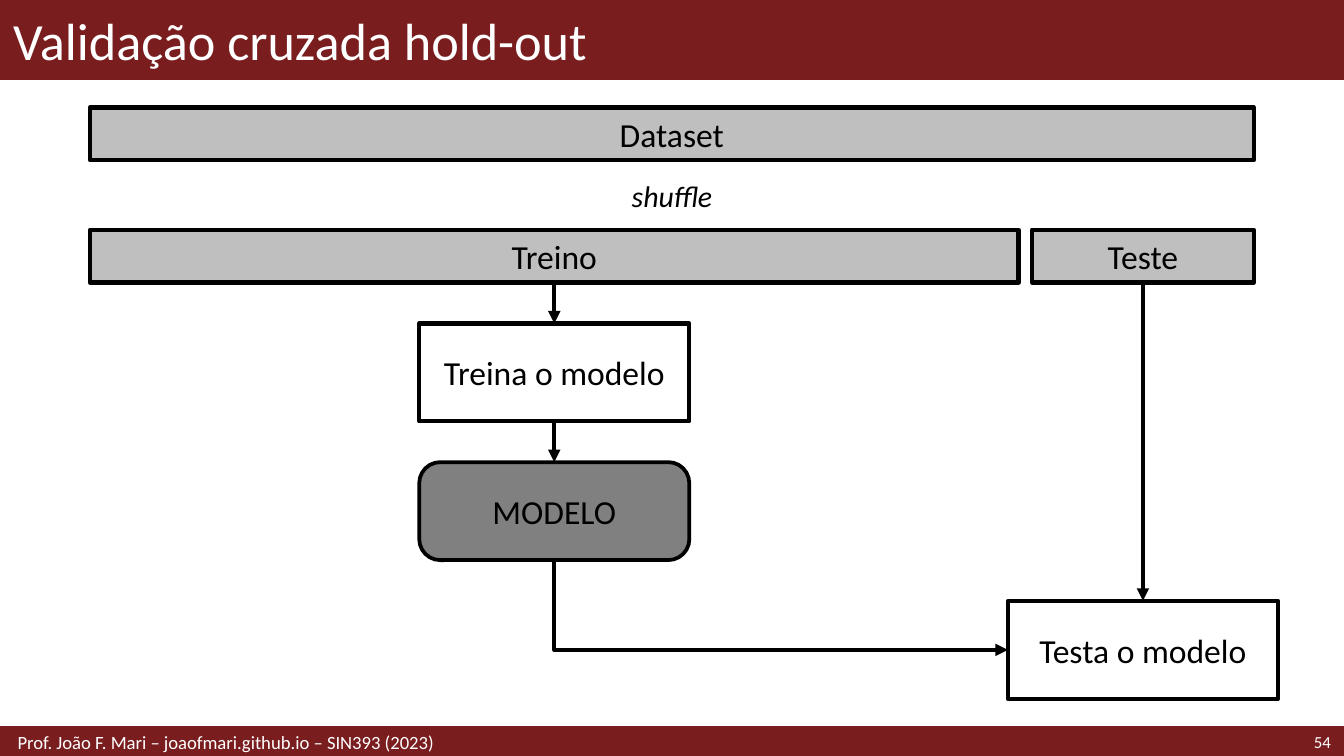
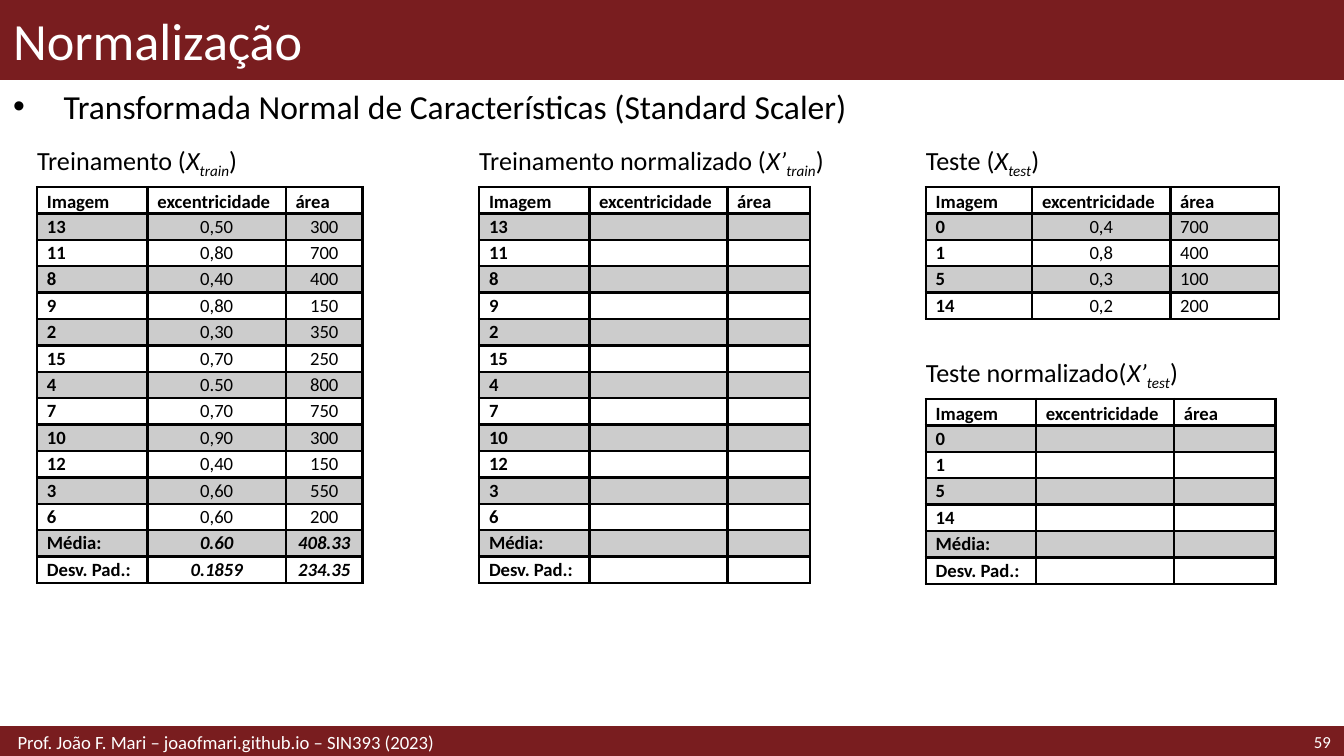
from dataclasses import dataclass

from lxml import etree
from pptx import Presentation
from pptx import util as u
from pptx.dml import color
from pptx.enum import shapes, text
from pptx.oxml import ns

Pt = u.Pt
SHAPE = shapes.MSO_SHAPE
LINK = shapes.MSO_CONNECTOR
ALIGN = text.PP_ALIGN
ANCHOR = text.MSO_ANCHOR
BOTTOM, TOP, LEFT = 2, 0, 1  # connection sites of a box


@dataclass(frozen=True)
class Theme:
    font: str = "Calibri"
    wine: str = "791D1F"
    ink: str = "000000"
    paper: str = "FFFFFF"
    light: str = "BFBFBF"
    dark: str = "808080"
    title: float = 28
    body: float = 18
    note: float = 16
    label: float = 14
    small: float = 10
    page: float = 9
    line: float = 2.25
    grid: float = 1.5
    shade: int = 20


def rgb(code):
    return color.RGBColor.from_string(code)


def sub(node, tag, **attrs):
    return etree.SubElement(node, ns.qn(tag), **attrs)


class Deck:
    wide, high = 720, 405
    band, foot = 42.5, 15

    def __init__(self, theme):
        self.look = theme
        self.prs = Presentation()
        self.prs.slide_width = Pt(self.wide)
        self.prs.slide_height = Pt(self.high)
        self.slide = None

    # Slide frame: title band and footer
    def page(self, title, number):
        look = self.look
        self.slide = self.prs.slides.add_slide(self.prs.slide_layouts[6])
        base = self.high - self.foot
        for top, high, line in ((0, self.band, 1), (base, self.foot, 2)):
            self.box((0, top, self.wide, high), "", look.wine, look.wine, line)
        self.text((0, 0, self.wide, self.band), title, look.title, look.paper)
        self.text((0, base, 496, self.foot),
                  "Prof. João F. Mari – joaofmari.github.io – SIN393 (2023)",
                  look.small, look.paper, pad=(9.4, 0, 7.2, 0))
        self.text((638, base, 82, self.foot), number, look.page, look.paper,
                  ALIGN.RIGHT, pad=(7.2, 0, 7.2, 0))

    def style(self, font, size, ink=None, bold=False, slant=False):
        font.name = self.look.font
        font.size = Pt(size)
        font.bold = bold
        font.italic = slant
        font.color.rgb = rgb(ink or self.look.ink)

    # Shape with centred text
    def box(self, place, words, fill=None, edge=None, line=None,
            kind=SHAPE.RECTANGLE):
        look = self.look
        item = self.slide.shapes.add_shape(kind, *map(Pt, place))
        item.shadow.inherit = False
        if fill:
            item.fill.solid()
            item.fill.fore_color.rgb = rgb(fill)
        else:
            item.fill.background()
        item.line.color.rgb = rgb(edge or look.ink)
        item.line.width = Pt(line or look.line)
        if words:
            frame = item.text_frame
            frame.text = words
            frame.vertical_anchor = ANCHOR.MIDDLE
            para = frame.paragraphs[0]
            para.alignment = ALIGN.CENTER
            self.style(para.runs[0].font, look.body)
        return item

    # Plain text box
    def text(self, place, words, size, ink=None, align=ALIGN.LEFT,
             anchor=ANCHOR.MIDDLE, pad=(7.2, 3.6, 7.2, 3.6), slant=False):
        frame = self.slide.shapes.add_textbox(*map(Pt, place)).text_frame
        frame.word_wrap = True
        frame.vertical_anchor = anchor
        (frame.margin_left, frame.margin_top,
         frame.margin_right, frame.margin_bottom) = map(Pt, pad)
        frame.text = words
        para = frame.paragraphs[0]
        para.alignment = align
        for run in para.runs:
            self.style(run.font, size, ink, slant=slant)
        return para

    def bullet(self, words):
        area = (0, self.band, self.wide, self.high - self.foot - self.band)
        para = self.text(area, words, self.look.body, anchor=ANCHOR.TOP)
        props = para._p.get_or_add_pPr()
        indent = Pt(27)
        props.set("marL", str(indent))
        props.set("indent", str(-indent))
        sub(props, "a:buFont", typeface="Arial")
        sub(props, "a:buChar", char="•")

    # Table heading such as "Teste (X test)", with the index lowered
    def label(self, left, top, lead, sign, index):
        size = self.look.label
        para = self.text((left, top, 210, 22.3), lead + "(", size,
                         pad=(0, 3.6, 7.2, 3.6))
        for words, slant in ((sign, True), (index, True), (")", False)):
            run = para.add_run()
            run.text = words
            self.style(run.font, size, slant=slant)
        para.runs[2]._r.get_or_add_rPr().set("baseline", "-25000")

    # Arrow glued to two boxes; a bent one goes down, then right
    def arrow(self, start, end, bent=False):
        kind = LINK.ELBOW if bent else LINK.STRAIGHT
        link = self.slide.shapes.add_connector(kind, 0, 0, 0, 0)
        link.begin_connect(start, BOTTOM)
        link.end_connect(end, LEFT if bent else TOP)
        link.line.color.rgb = rgb(self.look.ink)
        link.line.width = Pt(self.look.line)
        props = link._element.spPr
        sub(props.find(ns.qn("a:ln")), "a:tailEnd", type="triangle")
        sub(props, "a:effectLst")
        if bent:
            wide, high = link.width, link.height
            link.left += (wide - high) // 2
            link.top += (high - wide) // 2
            link.width, link.height = high, wide
            turn = props.find(ns.qn("a:xfrm"))
            turn.set("rot", "16200000")
            turn.set("flipH", "1")
            props.find(ns.qn("a:prstGeom")).set("prst", "bentConnector2")

    # Bordered table with every second row shaded
    def table(self, left, top, cols, rows, last=ALIGN.CENTER):
        row = 14.16
        rows = [("Imagem", "excentricidade", "área")] + rows
        grid = self.slide.shapes.add_table(
            len(rows), len(cols), Pt(left), Pt(top),
            Pt(sum(cols)), Pt(row * len(rows))).table
        grid.first_row = grid.horz_banding = False
        for col, wide in zip(grid.columns, cols):
            col.width = Pt(wide)
        for r, values in enumerate(rows):
            grid.rows[r].height = Pt(row)
            total = values[0] in ("Média:", "Desv. Pad.:")
            for c, value in enumerate(values):
                cell = grid.cell(r, c)
                self.cell(cell, value, r % 2 == 1,
                          bold=r == 0 or c == 0 or total,
                          slant=total and c > 0)
                para = cell.text_frame.paragraphs[0]
                if r == 0:
                    para.alignment = ALIGN.JUSTIFY
                    para.line_spacing = 1.15
                    cell.vertical_anchor = ANCHOR.TOP
                else:
                    para.alignment = (ALIGN.LEFT, ALIGN.CENTER, last)[c]

    def cell(self, cell, value, shaded, bold, slant):
        look = self.look
        cell.margin_left = cell.margin_right = Pt(5.3)
        cell.margin_top = cell.margin_bottom = 0
        cell.vertical_anchor = ANCHOR.MIDDLE
        cell.text_frame.text = value
        para = cell.text_frame.paragraphs[0]
        for run in para.runs:
            self.style(run.font, look.small, bold=bold, slant=slant)
        if not value:
            sub(para._p, "a:endParaRPr", sz=str(look.small * 100))
        props = cell._tc.get_or_add_tcPr()
        for side in "LRTB":
            edge = sub(props, "a:ln" + side, w=str(Pt(look.grid)))
            sub(sub(edge, "a:solidFill"), "a:srgbClr", val=look.ink)
        if shaded:
            cell.fill.solid()
            cell.fill.fore_color.rgb = rgb(look.ink)
            tone = props.find(ns.qn("a:solidFill"))[0]
            sub(tone, "a:alpha", val=str(look.shade * 1000))
        else:
            cell.fill.background()


def holdout(deck):
    look = deck.look
    deck.page("Validação cruzada hold-out", "54")

    # Data bars
    left, high, wide = 48.2, 28.3, 623.5
    deck.box((left, 57.6, wide, high), "Dataset", look.light)
    deck.text((320, 91.6, 80, 26.6), "shuffle", look.note,
              align=ALIGN.CENTER, slant=True)
    train = deck.box((left, 123.1, 497.5, high), "Treino", look.light)
    test = deck.box((552.9, 123.1, 118.8, high), "Teste", look.light)

    # Steps below the bars, on evenly spaced levels
    def step(mid, level, words, **more):
        place = (mid - 72.35, 173.3 + 74.3 * level, 144.7, 52.5)
        return deck.box(place, words, **more)

    fit = step(296.95, 0, "Treina o modelo")
    model = step(296.95, 1, "MODELO", fill=look.dark, line=2,
                 kind=SHAPE.ROUNDED_RECTANGLE)
    model.adjustments[0] = 0.215
    check = step(612.3, 2, "Testa o modelo")

    for start, end in ((train, fit), (fit, model), (test, check)):
        deck.arrow(start, end)
    deck.arrow(model, check, bent=True)


def scaling(deck):
    deck.page("Normalização", "59")
    deck.bullet("Transformada Normal de Características (Standard Scaler)")

    train = [
        ("13", "0,50", "300"), ("11", "0,80", "700"), ("8", "0,40", "400"),
        ("9", "0,80", "150"), ("2", "0,30", "350"), ("15", "0,70", "250"),
        ("4", "0.50", "800"), ("7", "0,70", "750"), ("10", "0,90", "300"),
        ("12", "0,40", "150"), ("3", "0,60", "550"), ("6", "0,60", "200"),
    ]
    stats = [("Média:", "0.60", "408.33"), ("Desv. Pad.:", "0.1859", "234.35")]
    test = [("0", "0,4", "700"), ("1", "0,8", "400"),
            ("5", "0,3", "100"), ("14", "0,2", "200")]

    def blank(rows):
        return [(row[0], "", "") for row in rows]

    # Each block: left, label top, label parts, column widths, rows, alignment
    one, two, three = 19.9, 256.7, 496
    upper, lower = 75.6, 189.2
    blocks = (
        (one, upper, ("Treinamento ", "X", "train"),
         (59.2, 74, 41.2), train + stats, ALIGN.CENTER),
        (two, upper, ("Treinamento normalizado ", "X’", "train"),
         (59, 74, 44.2), blank(train + stats), ALIGN.CENTER),
        (three, upper, ("Teste ", "X", "test"),
         (57, 74, 58.2), test, ALIGN.LEFT),
        (three, lower, ("Teste normalizado", "X’", "test"),
         (59, 74, 54.4), blank(test + stats), ALIGN.CENTER),
    )
    for left, top, parts, cols, rows, last in blocks:
        deck.label(left, top, *parts)
        deck.table(left, top + 24.6, cols, rows, last)


def main():
    deck = Deck(Theme())
    holdout(deck)
    scaling(deck)
    deck.prs.save("out.pptx")


if __name__ == "__main__":
    main()
